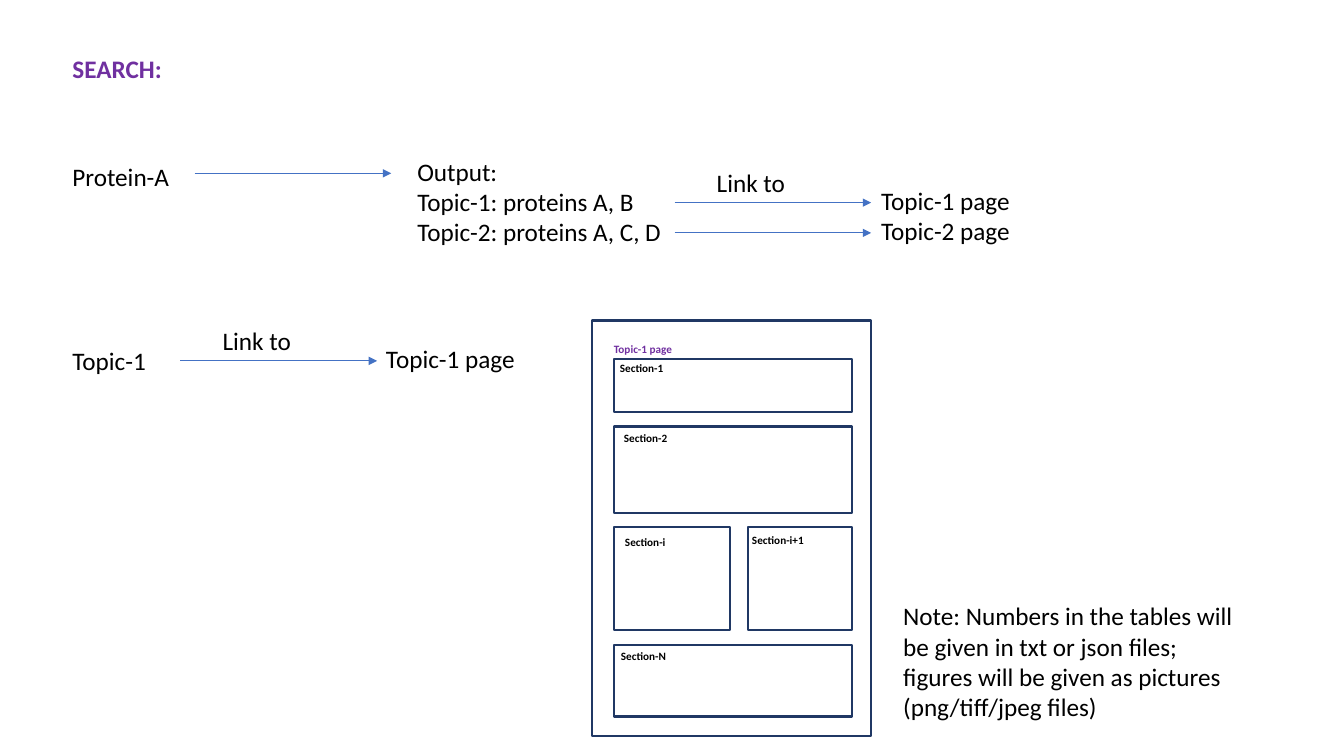
from lxml import etree
from pptx import Presentation
from pptx.dml.color import RGBColor
from pptx.enum.shapes import MSO_CONNECTOR, MSO_SHAPE
from pptx.enum.text import MSO_AUTO_SIZE
from pptx.oxml.ns import qn
from pptx.util import Inches, Pt

LINE = MSO_CONNECTOR.STRAIGHT
RECT = MSO_SHAPE.RECTANGLE
GROW = MSO_AUTO_SIZE.SHAPE_TO_FIT_TEXT
FONT = "Calibri"
BLACK, PURPLE, BLUE, NAVY = "000000", "7030A0", "4472C4", "203864"


def color(code):
    return RGBColor.from_string(code)


class Sketch:
    """Draws text, frames and arrows on one slide in a shared style."""

    def __init__(self, slide):
        self.shapes = slide.shapes

    def text(self, text, x, y, w, h, size=18, ink=BLACK, bold=False, wrap=False, gap=0):
        box = self.shapes.add_textbox(Inches(x), Inches(y), Inches(w), Inches(h))
        frame = box.text_frame
        frame.word_wrap = wrap
        frame.auto_size = GROW
        for i, row in enumerate(text.split("\n")):
            para = frame.paragraphs[0] if i == 0 else frame.add_paragraph()
            para.space_before = Pt(gap if i else 0)
            run = para.add_run()
            run.text = row
            run.font.name = FONT
            run.font.size = Pt(size)
            run.font.bold = bold
            run.font.color.rgb = color(ink)
        return box

    def frame(self, x, y, w, h):
        rect = self.shapes.add_shape(RECT, Inches(x), Inches(y), Inches(w), Inches(h))
        rect.shadow.inherit = False
        rect.fill.background()
        rect.line.color.rgb = color(NAVY)
        rect.line.width = Pt(1.75)

    def arrow(self, x, y, start=None, span=1.95):
        link = self.shapes.add_connector(LINE, Inches(x), Inches(y), Inches(x + span), Inches(y))
        if start is not None:
            link.begin_connect(start, 3)
        link.line.color.rgb = color(BLUE)
        link.line.width = Pt(0.5)
        etree.SubElement(link.line._get_or_add_ln(), qn("a:tailEnd"), type="triangle")
        etree.SubElement(link._element.spPr, qn("a:effectLst"))


def main():
    deck = Presentation()
    deck.slide_width, deck.slide_height = Inches(13.33), Inches(7.5)
    art = Sketch(deck.slides.add_slide(deck.slide_layouts[6]))

    art.text("SEARCH:", 0.62, 0.48, 1.1, 0.4, ink=PURPLE, bold=True)
    art.text("Protein-A\nTopic-1", 0.62, 1.55, 1.26, 2.22, wrap=True, gap=110)
    art.arrow(1.93, 1.72)
    output = art.text("Output:\nTopic-1: proteins A, B\nTopic-2: proteins A, C, D",
                      4.04, 1.5, 2.65, 1.02)
    art.arrow(6.69, 2.01, start=output)
    art.arrow(6.69, 2.31)
    art.text("Topic-1 page\nTopic-2 page", 8.64, 1.79, 1.49, 0.71)
    art.arrow(1.79, 3.58)
    art.text("Topic-1 page", 3.73, 3.36, 1.49, 0.4)
    for x, y in ((7.01, 1.61), (2.11, 3.18)):
        art.text("Link to", x, y, 0.89, 0.4)

    art.frame(5.87, 3.18, 2.77, 4.12)
    art.text("Topic-1 page", 5.99, 3.35, 0.79, 0.24, size=8, ink=PURPLE, bold=True)
    left, full = 6.09, 2.36
    parts = (
        ("Section-1", (left, 3.56, full, 0.53), (6.05, 3.54, 0.63)),
        ("Section-2", (left, 4.23, full, 0.86), (6.09, 4.23, 0.63)),
        ("Section-i", (left, 5.23, 1.15, 1.02), (6.1, 5.26, 0.61)),
        ("Section-i+1", (7.42, 5.23, 1.03, 1.02), (7.36, 5.24, 0.72)),
        ("Section-N", (left, 6.4, full, 0.71), (6.06, 6.39, 0.65)),
    )
    for name, rect, spot in parts:
        art.frame(*rect)
        art.text(name, *spot, 0.24, size=8, bold=True)

    art.text("Note: Numbers in the tables will be given in txt or json files; "
             "figures will be given as pictures (png/tiff/jpeg files)",
             8.86, 5.91, 3.53, 1.31, wrap=True)
    deck.save("out.pptx")


if __name__ == "__main__":
    main()
